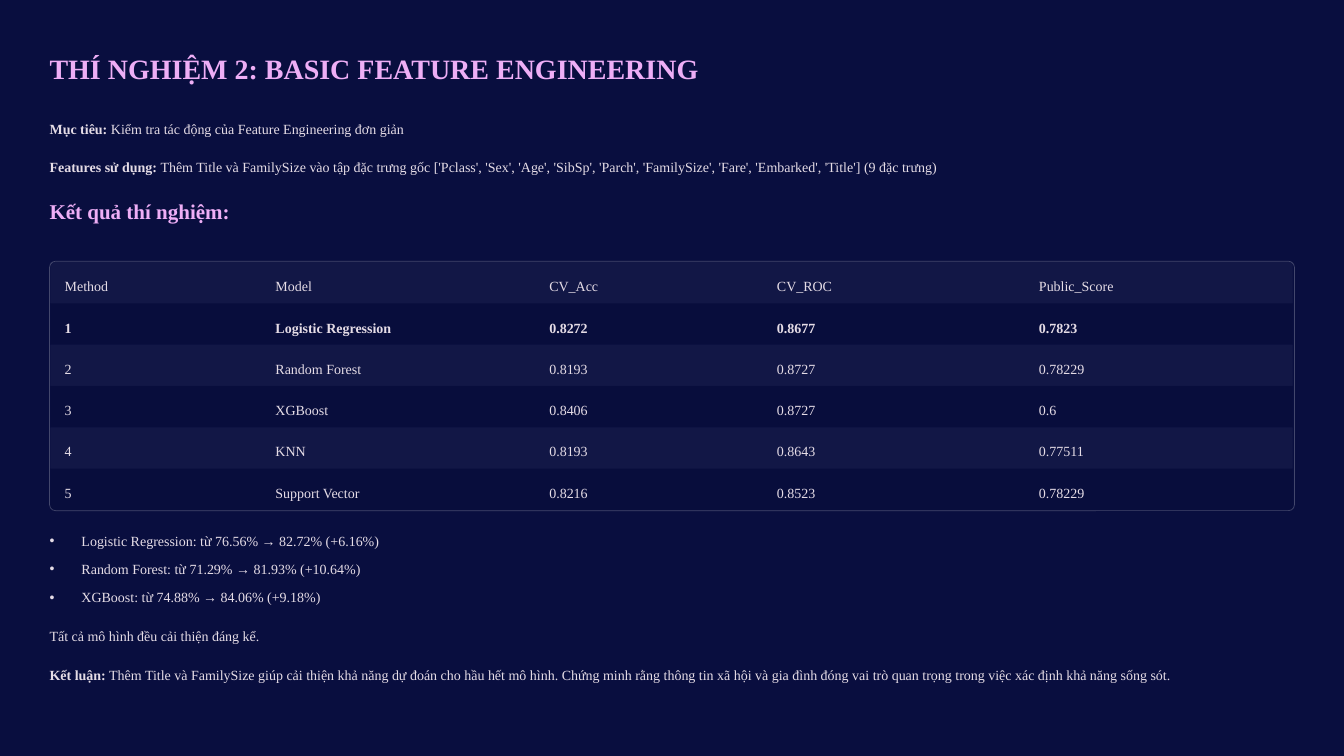
from dataclasses import dataclass
from pptx import Presentation, util as u
from pptx.dml.color import RGBColor
from pptx.enum import shapes, text
from pptx.oxml.ns import qn
from lxml import etree

WIDE, HIGH = 16, 9
EDGE = 0.59
SPAN = WIDE - 2 * EDGE
LINE = 0.27
TOP, DEEP = 3.12, 2.95
COLS = (2.51, 3.26, 2.71, 3.12, 3.19)
PLAIN = "{2D5ABB26-0587-4C30-8999-92F81FD0307C}"


@dataclass(frozen=True)
class Theme:
    font: str = "Times New Roman"
    base: str = "000000"
    back: str = "090E3F"
    head: str = "EEAEF6"
    ink: str = "E5DCE6"
    bands: tuple = ("FFFFFF", "000000")
    tint: int = 4
    rim: str = "FFFFFF"
    haze: int = 24
    title: tuple = (24, 30.5)
    sub: tuple = (18, 22.5)
    body: tuple = (12, 19.5)


T = Theme()

ROWS = (
    ("Method", "Model", "CV_Acc", "CV_ROC", "Public_Score"),
    ("1", "Logistic Regression", "0.8272", "0.8677", "0.7823"),
    ("2", "Random Forest", "0.8193", "0.8727", "0.78229"),
    ("3", "XGBoost", "0.8406", "0.8727", "0.6"),
    ("4", "KNN", "0.8193", "0.8643", "0.77511"),
    ("5", "Support Vector", "0.8216", "0.8523", "0.78229"),
)
BEST = 1
GAINS = (
    "Logistic Regression: từ 76.56% → 82.72% (+6.16%)",
    "Random Forest: từ 71.29% → 81.93% (+10.64%)",
    "XGBoost: từ 74.88% → 84.06% (+9.18%)",
)
NOTES = (
    (1.36, LINE, "Mục tiêu:", " Kiểm tra tác động của Feature Engineering đơn giản"),
    (1.82, LINE, "Features sử dụng:",
     " Thêm Title và FamilySize vào tập đặc trưng gốc ['Pclass', 'Sex', 'Age', "
     "'SibSp', 'Parch', 'FamilySize', 'Fare', 'Embarked', 'Title'] (9 đặc trưng)"),
    (7.4, LINE, "", "Tất cả mô hình đều cải thiện đáng kể."),
    (7.86, 2 * LINE, "Kết luận:",
     " Thêm Title và FamilySize giúp cải thiện khả năng dự đoán cho hầu hết mô hình. "
     "Chứng minh rằng thông tin xã hội và gia đình đóng vai trò quan trọng trong "
     "việc xác định khả năng sống sót."),
)


def assign(item, **vals):
    for key, val in vals.items():
        setattr(item, key, val)


def color(code):
    return RGBColor.from_string(code)


def paint(fill, code):
    fill.solid()
    fill.fore_color.rgb = color(code)


def fade(shape, share):
    """Make the shape's solid colour show at a share in percent."""
    for tone in shape._element.spPr.iter(qn("a:srgbClr")):
        etree.SubElement(tone, qn("a:alpha")).set("val", str(share * 1000))


def write(para, *parts, size=T.body, ink=T.ink):
    """Fill a paragraph with (words, bold) parts."""
    points, lead = size
    assign(para, alignment=text.PP_ALIGN.LEFT, line_spacing=u.Pt(lead),
           space_before=u.Pt(0), space_after=u.Pt(0))
    for words, bold in parts:
        run = para.add_run()
        run.text = words
        assign(run.font, name=T.font, size=u.Pt(points), bold=bold)
        run.font.color.rgb = color(ink)


def place(shape, top, high):
    """Set a text shape on the left edge, without insets."""
    assign(shape, left=u.Inches(EDGE), top=u.Inches(top),
           width=u.Inches(SPAN), height=u.Inches(high))
    frame = shape.text_frame
    assign(frame, margin_left=0, margin_right=0, margin_top=0, margin_bottom=0,
           word_wrap=True, auto_size=text.MSO_AUTO_SIZE.NONE,
           vertical_anchor=text.MSO_ANCHOR.TOP)
    return frame.paragraphs[0]


def label(slide, top, high, *parts, **look):
    box = slide.shapes.add_textbox(0, 0, 0, 0)
    write(place(box, top, high), *parts, **look)


def bullets(shape, top, items):
    para = place(shape, top, 0.94)
    for num, item in enumerate(items):
        if num:
            para = shape.text_frame.add_paragraph()
        props = para._p.get_or_add_pPr()
        props.set("marL", str(u.Inches(0.38)))
        props.set("indent", str(u.Inches(-0.38)))
        etree.SubElement(props, qn("a:buChar")).set("char", "•")
        write(para, (item, False))
        if num:
            para.space_before = u.Pt(4.6)


def panel(slide, kind, *spot):
    shape = slide.shapes.add_shape(kind, *map(u.Inches, spot))
    shape.shadow.inherit = False
    shape.fill.background()
    shape.line.fill.background()
    return shape


def ground(slide):
    """Lay the dark sheet behind everything else."""
    paint(slide.background.fill, T.base)
    sheet = panel(slide, shapes.MSO_SHAPE.RECTANGLE, 0, 0, WIDE, HIGH)
    paint(sheet.fill, T.back)
    slide.shapes._spTree.insert(2, sheet._element)


def bands(slide):
    high = DEEP / len(ROWS)
    for num in range(len(ROWS)):
        band = panel(slide, shapes.MSO_SHAPE.RECTANGLE, EDGE + 0.01,
                     TOP + num * high, sum(COLS), high)
        paint(band.fill, T.bands[num % 2])
        fade(band, T.tint)


def scores(slide):
    grid = slide.shapes.add_table(
        len(ROWS), len(COLS), u.Inches(EDGE + 0.01), u.Inches(TOP),
        u.Inches(sum(COLS)), u.Inches(DEEP)).table
    assign(grid, first_row=False, horz_banding=False)
    grid._tbl.tblPr.find(qn("a:tableStyleId")).text = PLAIN
    for col, wide in zip(grid.columns, COLS):
        col.width = u.Inches(wide)
    for num, (row, vals) in enumerate(zip(grid.rows, ROWS)):
        row.height = u.Inches(DEEP / len(ROWS))
        for cell, val in zip(row.cells, vals):
            assign(cell, margin_left=u.Inches(0.17), margin_right=u.Inches(0.17),
                   margin_top=u.Inches(0.12), margin_bottom=u.Inches(0.09))
            cell.fill.background()
            write(cell.text_frame.paragraphs[0], (val, num == BEST))


def rim(slide):
    frame = panel(slide, shapes.MSO_SHAPE.ROUNDED_RECTANGLE,
                  EDGE, TOP - 0.01, SPAN, DEEP + 0.02)
    frame.adjustments[0] = 0.024
    paint(frame.line.fill, T.rim)
    frame.line.width = u.Pt(0.6)
    fade(frame, T.haze)


def main():
    deck = Presentation()
    assign(deck, slide_width=u.Inches(WIDE), slide_height=u.Inches(HIGH))
    slide = deck.slides.add_slide(deck.slide_layouts[1])
    title, body = slide.placeholders
    ground(slide)
    write(place(title, EDGE, 0.42),
          ("THÍ NGHIỆM 2: BASIC FEATURE ENGINEERING", True),
          size=T.title, ink=T.head)
    label(slide, 2.35, 0.32, ("Kết quả thí nghiệm:", True), size=T.sub, ink=T.head)
    for top, high, lead, words in NOTES:
        parts = [(lead, True)] if lead else []
        label(slide, top, high, *parts, (words, False))
    rim(slide)
    bands(slide)
    scores(slide)
    bullets(body, 6.27, GAINS)
    deck.save("out.pptx")


if __name__ == "__main__":
    main()
